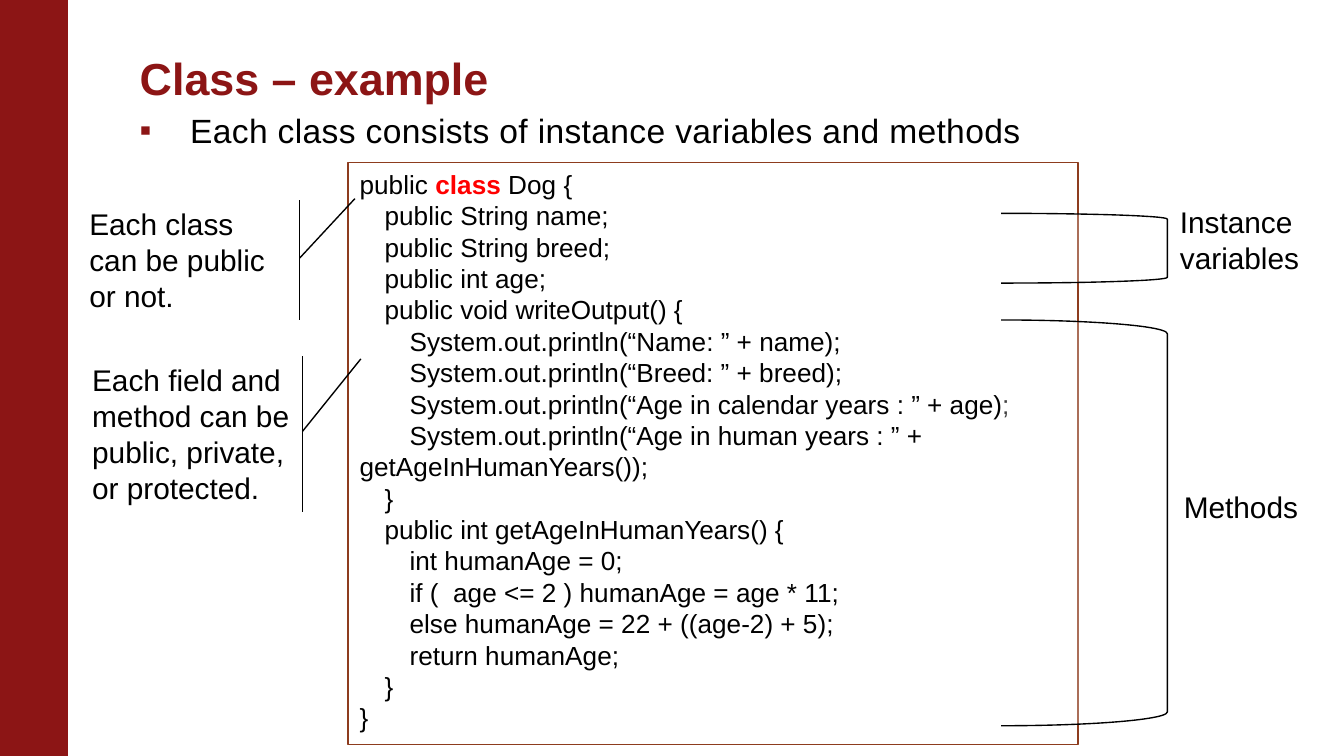
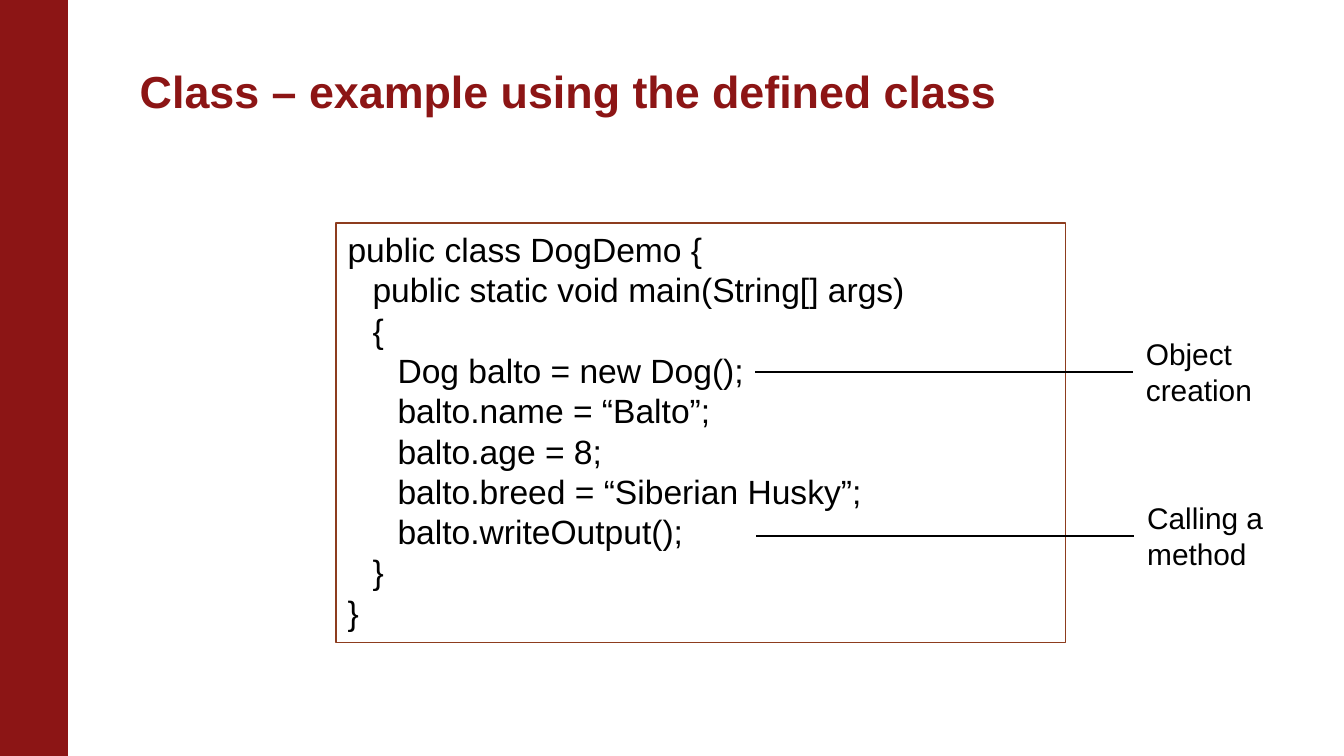
from lxml.etree import SubElement as Sub
from pptx import Presentation
from pptx.dml.color import RGBColor
from pptx.enum.shapes import MSO_CONNECTOR as Link, MSO_SHAPE as Form
from pptx.enum.text import MSO_ANCHOR as Anchor, PP_ALIGN as Align
from pptx.oxml.ns import qn
from pptx.util import Pt

WIDTH, HEIGHT = 720, 405
RED, RUST, BLACK, WHITE = "8C1515", "8D3C1E", "000000", "FFFFFF"
FONT = "Arial"
LEAD = 1.2    # line pitch as a share of the type size
TAB = 13.4    # code indent step
PAD = (6.2, 3.1, 5, 3.1)

DOG = [
    [("public ",), ("class", "FF0000", True), (" Dog {",)],
    "\tpublic String name;",
    "\tpublic String breed;",
    "\tpublic int age;",
    "\tpublic void writeOutput() {",
    "\t\tSystem.out.println(“Name: ” + name);",
    "\t\tSystem.out.println(“Breed: ” + breed);",
    "\t\tSystem.out.println(“Age in calendar years : ” + age);",
    "\t\tSystem.out.println(“Age in human years : ” + getAgeInHumanYears());",
    "\t}",
    "\tpublic int getAgeInHumanYears() {",
    "\t\tint humanAge = 0;",
    "\t\tif (  age <= 2 ) humanAge = age * 11;",
    "\t\telse humanAge = 22 + ((age-2) + 5);",
    "\t\treturn humanAge;",
    "\t}",
    "}",
]

DEMO = [
    "public class DogDemo {",
    "\tpublic static void main(String[] args)",
    "\t{",
    "\t\tDog balto = new Dog();",
    "\t\tbalto.name = “Balto”;",
    "\t\tbalto.age = 8;",
    "\t\tbalto.breed = “Siberian Husky”;",
    "\t\tbalto.writeOutput();",
    "\t}",
    "}",
]


def tint(code):
    return RGBColor.from_string(code)


class Deck:
    def __init__(self):
        self.prs = Presentation()
        self.prs.slide_width, self.prs.slide_height = Pt(WIDTH), Pt(HEIGHT)
        self.slide = None

    def page(self, title, top):
        """Start a slide with the side band and a title."""
        self.slide = self.prs.slides.add_slide(self.prs.slide_layouts[6])
        self.shape(Form.RECTANGLE, (0, 0, 36, HEIGHT), RED, RED)
        frame = self.box((74.9, top, 607, 38.2), (0, 3.6, 7.2, 3.6))
        frame.vertical_anchor = Anchor.BOTTOM
        self.line(frame.paragraphs[0], [(title, RED, True)], 24, 0.85)

    def shape(self, form, area, fill, edge, bends=()):
        item = self.slide.shapes.add_shape(form, *map(Pt, area))
        item.shadow.inherit = False
        if fill:
            item.fill.solid()
            item.fill.fore_color.rgb = tint(fill)
        else:
            item.fill.background()
        item.line.color.rgb = tint(edge)
        item.line.width = Pt(0.75)
        for spot, bend in enumerate(bends):
            item.adjustments[spot] = bend
        return item

    def setup(self, frame, pad):
        frame.word_wrap = True
        frame.vertical_anchor = Anchor.TOP
        (frame.margin_left, frame.margin_top,
         frame.margin_right, frame.margin_bottom) = map(Pt, pad)
        return frame

    def box(self, area, pad):
        item = self.slide.shapes.add_textbox(*map(Pt, area))
        return self.setup(item.text_frame, pad)

    def line(self, para, runs, size, lead=None):
        """Fill one paragraph from (text, colour, bold) runs."""
        para.alignment = Align.LEFT
        para.line_spacing = lead or Pt(round(size * LEAD, 2))
        for text, color, bold in runs:
            run = para.add_run()
            run.text = text
            run.font.name, run.font.size = FONT, Pt(size)
            run.font.bold = bold
            run.font.color.rgb = tint(color)

    def bullet(self, text, area):
        para = self.box(area, (0, 3.6, 0, 3.6)).paragraphs[0]
        props = para._p.get_or_add_pPr()
        props.set("marL", str(Pt(27)))
        props.set("indent", str(-Pt(27)))
        Sub(Sub(props, qn("a:buClr")), qn("a:srgbClr")).set("val", RED)
        Sub(props, qn("a:buFont")).set("typeface", FONT)
        Sub(props, qn("a:buChar")).set("char", "▪")
        self.line(para, [(text, BLACK, False)], 18)
        para.runs[0].font._element.set("spc", "20")

    def code(self, lines, area, size):
        item = self.shape(Form.RECTANGLE, area, None, RUST)
        frame = self.setup(item.text_frame, PAD)
        for count, line in enumerate(lines):
            para = frame.add_paragraph() if count else frame.paragraphs[0]
            tabs = Sub(para._p.get_or_add_pPr(), qn("a:tabLst"))
            for step in (1, 2):
                stop = Sub(tabs, qn("a:tab"))
                stop.set("pos", str(Pt(step * TAB)))
                stop.set("algn", "l")
            parts = [(line,)] if isinstance(line, str) else line
            runs = [part + (BLACK, False)[len(part) - 1:] for part in parts]
            self.line(para, runs, size)

    def brace(self, top, height):
        item = self.shape(Form.RIGHT_BRACKET, (536.4, top, 89, height),
                          WHITE, BLACK, [0.083])
        color = item._element.spPr.find(qn("a:solidFill"))[0]
        Sub(color, qn("a:alpha")).set("val", "26000")

    def callout(self, text, area, bends):
        item = self.shape(Form.LINE_CALLOUT_1_ACCENT_BAR, area,
                          WHITE, BLACK, bends)
        para = self.setup(item.text_frame, PAD).paragraphs[0]
        para._p.get_or_add_pPr().set("marL", str(Pt(4.3)))
        self.line(para, [(text, BLACK, False)], 16)

    def label(self, text, left, top, height=46.1):
        frame = self.box((left, top, 85, height), (7.2, 3.6, 7.2, 3.6))
        self.line(frame.paragraphs[0], [(text, BLACK, False)], 16)

    def note(self, text, left, top):
        """A label with a rule that leads back to the code."""
        self.label(text, left, top)
        ends = (left, top + 23, left - 202.3, top + 23)
        rule = self.slide.shapes.add_connector(Link.STRAIGHT, *map(Pt, ends))
        rule.line.color.rgb = tint(BLACK)
        rule.line.width = Pt(1)
        Sub(rule._element.spPr, qn("a:effectLst"))


def main():
    deck = Deck()

    # The class and its parts
    deck.page("Class – example", 21.2)
    deck.bullet("Each class consists of instance variables and methods",
                (74.9, 55.4, 609, 33.8))
    deck.code(DOG, (186.5, 87.1, 391, 311.8), 14)
    deck.brace(114.3, 37.4)
    deck.brace(171.4, 217.4)
    deck.callout("Each class can be public or not.",
                 (37.4, 107.3, 122.8, 64.1), (0.484, 1.003, -0.014, 1.244))
    deck.callout("Each field and method can be public, private, or protected.",
                 (38.9, 190.8, 122.8, 83.5), (0.484, 1.003, 0.018, 1.258))
    deck.label("Instance variables", 625, 105.6)
    deck.label("Methods", 627.1, 258.3, 26.6)

    # The class in use
    deck.page("Class – example using the defined class", 28.4)
    deck.code(DEMO, (180, 119.5, 391, 224.6), 18)
    deck.note("Object creation", 606.8, 176.4)
    deck.note("Calling a method", 607.5, 264.2)

    deck.prs.save("out.pptx")


if __name__ == "__main__":
    main()
